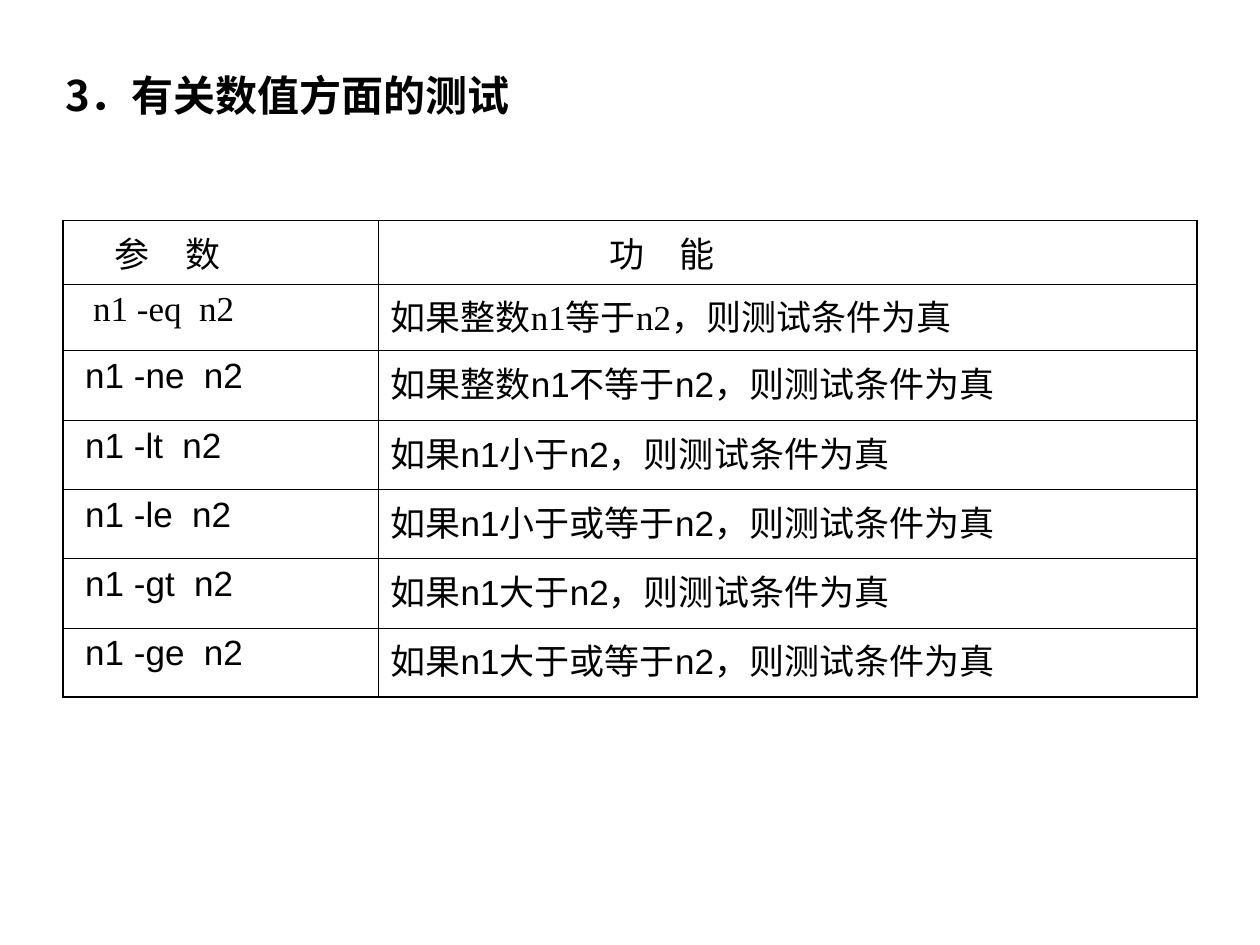
from lxml import etree
from pptx import Presentation
from pptx.dml.color import RGBColor
from pptx.enum.text import MSO_ANCHOR, MSO_AUTO_SIZE, PP_ALIGN
from pptx.oxml.ns import qn
from pptx.util import Pt

TOP = MSO_ANCHOR.TOP
LEFT = PP_ALIGN.LEFT
NO_AUTOFIT = MSO_AUTO_SIZE.NONE
BLACK = RGBColor(0, 0, 0)
CJK, SANS, SERIF = "Noto Sans CJK SC", "Arial", "Times New Roman"

HEADING = "3．有关数值方面的测试"
# Each row: parameter, its indent, function, its indent, Latin font
ROWS = [
    ("参　数", 22.5, "功　能", 125, SANS),
    ("n1 -eq  n2", 10, "如果整数n1等于n2，则测试条件为真", 0, SERIF),
    ("n1 -ne  n2", 5.5, "如果整数n1不等于n2，则测试条件为真", 0, SANS),
    ("n1 -lt  n2", 5.5, "如果n1小于n2，则测试条件为真", 0, SANS),
    ("n1 -le  n2", 5.5, "如果n1小于或等于n2，则测试条件为真", 0, SANS),
    ("n1 -gt  n2", 5.5, "如果n1大于n2，则测试条件为真", 0, SANS),
    ("n1 -ge  n2", 5.5, "如果n1大于或等于n2，则测试条件为真", 0, SANS),
]
COLUMN_WIDTHS = [180, 468]
ROW_HEIGHTS = [34.6, 38.2] + [39.6] * 5
TABLE_LEFT, TABLE_TOP = 36, 126
OUTER_LINE, INNER_LINE = 1.08, 0.45


def write(frame, text, size, font, bold=False, before=0, indent=0):
    paragraph = frame.paragraphs[0]
    paragraph.alignment = LEFT
    paragraph.space_before = Pt(before)
    paragraph._p.get_or_add_pPr().set("marL", str(Pt(indent)))
    run = paragraph.add_run()
    run.text = text
    run.font.size = Pt(size)
    run.font.name = font
    run.font.bold = bold
    run.font.color.rgb = BLACK
    east_asian = etree.SubElement(run._r.get_or_add_rPr(), qn("a:ea"))
    east_asian.set("typeface", CJK)


def set_borders(cell, widths):
    """Draw black borders; widths maps the sides L, R, T and B to points."""
    properties = cell._tc.get_or_add_tcPr()
    for position, side in enumerate("LRTB"):
        line = etree.Element(qn(f"a:ln{side}"), w=str(Pt(widths[side])))
        fill = etree.SubElement(line, qn("a:solidFill"))
        etree.SubElement(fill, qn("a:srgbClr"), val=str(BLACK))
        properties.insert(position, line)


def add_parameter_table(slide):
    table = slide.shapes.add_table(
        len(ROWS), len(COLUMN_WIDTHS), Pt(TABLE_LEFT), Pt(TABLE_TOP),
        Pt(sum(COLUMN_WIDTHS)), Pt(sum(ROW_HEIGHTS))).table
    table.first_row = table.horz_banding = False
    for column, width in zip(table.columns, COLUMN_WIDTHS):
        column.width = Pt(width)
    for row, height in zip(table.rows, ROW_HEIGHTS):
        row.height = Pt(height)

    last_row, last_column = len(ROWS) - 1, len(COLUMN_WIDTHS) - 1
    for r, (parameter, parameter_indent, meaning, meaning_indent, font) in enumerate(ROWS):
        entries = [(parameter, parameter_indent), (meaning, meaning_indent)]
        for c, (text, indent) in enumerate(entries):
            cell = table.cell(r, c)
            cell.fill.background()
            cell.vertical_anchor = TOP
            write(cell.text_frame, text, 20, font, before=5, indent=indent)
            on_edge = {"L": c == 0, "R": c == last_column,
                       "T": r == 0, "B": r == last_row}
            set_borders(cell, {side: OUTER_LINE if edge else INNER_LINE
                               for side, edge in on_edge.items()})


def main():
    presentation = Presentation()
    presentation.slide_width, presentation.slide_height = Pt(720), Pt(540)
    slide = presentation.slides.add_slide(presentation.slide_layouts[5])

    heading = slide.shapes.title
    heading.left, heading.top = Pt(30), Pt(36)
    heading.width, heading.height = Pt(690), Pt(438)
    heading.text_frame.vertical_anchor = TOP
    heading.text_frame.auto_size = NO_AUTOFIT
    write(heading.text_frame, HEADING, 24, CJK, bold=True, before=6)

    add_parameter_table(slide)
    presentation.save("out.pptx")


if __name__ == "__main__":
    main()
